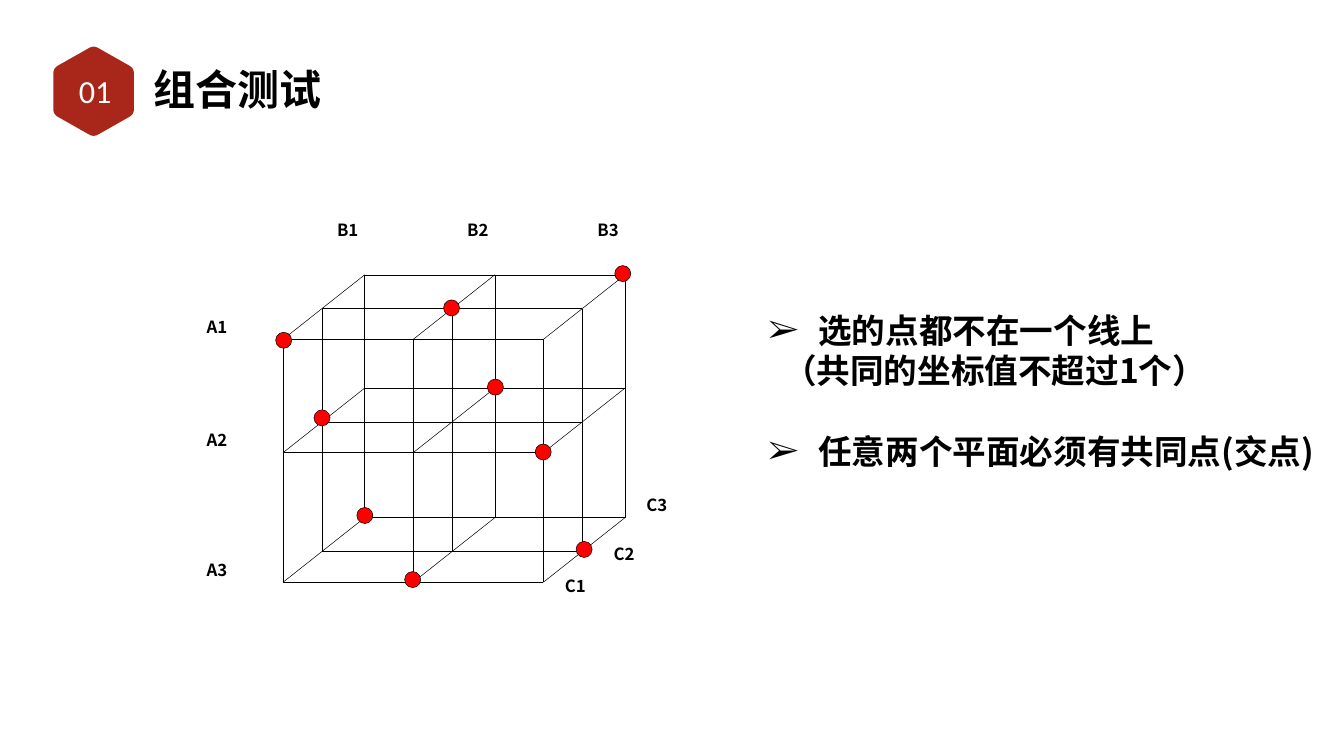
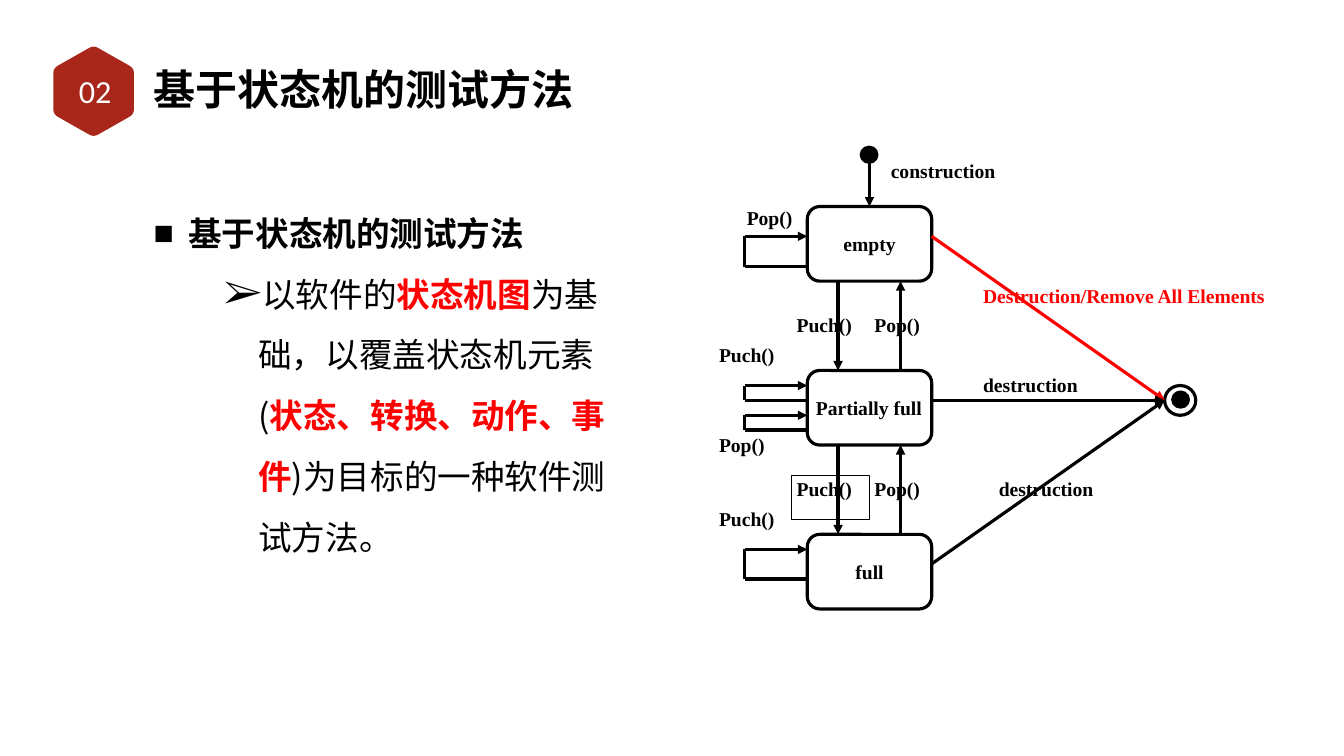
"""Build two slides: combinatorial testing and state-machine testing."""
from itertools import product

from lxml import etree
from pptx import Presentation
from pptx import util as u
from pptx.dml.color import RGBColor
from pptx.enum import shapes, text
from pptx.oxml.ns import qn

BLACK, WHITE = RGBColor(0, 0, 0), RGBColor(255, 255, 255)
RED, BRICK = RGBColor(255, 0, 0), RGBColor(0xA8, 0x27, 0x1A)
CJK, LATIN, SERIF = "Noto Sans CJK SC", "Calibri", "Times New Roman"
CENTER, JUSTIFY = text.PP_ALIGN.CENTER, text.PP_ALIGN.JUSTIFY
MIDDLE = text.MSO_ANCHOR.MIDDLE
OVAL = shapes.MSO_SHAPE.OVAL
ROUNDED = shapes.MSO_SHAPE.FLOWCHART_ALTERNATE_PROCESS

TITLE_FONT = {"size": u.Pt(60), "name": CJK, "bold": True}
NUMBER_FONT = {"size": u.Pt(46), "name": LATIN, "bold": False}
BODY_FONT = {"size": u.Pt(48), "name": CJK, "bold": True}
LABEL_FONT = {"size": u.Pt(24), "name": CJK, "bold": True}
STATE_FONT = {"size": u.Pt(28), "name": SERIF, "bold": True}

TITLES = [("01", "组合测试"), ("02", "基于状态机的测试方法")]
BADGE_CENTER = (4.72, 4.6)
BADGE_CORNERS = [(0, -2.31), (2.03, -1.16), (2.03, 1.16),
                 (0, 2.31), (-2.03, 1.16), (-2.03, -1.16)]
BADGE_ROUNDING = 0.11

GRID_LEFT, GRID_STEP = 14.27, 6.56
GRID_ROWS = [17.1, 22.81, 29.34]
GRID_DEPTHS = [(0, 0), (1.96, -1.55), (4.11, -3.25)]
DOT = 0.81
DOT_CENTERS = [(14.3, 17.15), (22.76, 15.52), (31.39, 13.79),
               (16.23, 21.06), (24.97, 19.51), (27.38, 22.78),
               (18.39, 25.98), (20.8, 29.21), (29.44, 27.69)]
C_LABELS = [("C1", 28.22, 28.88), ("C2", 30.68, 27.25), ("C3", 32.33, 24.82)]

RULE_LINE = u.Pt(57.6)
RULES = [
    {"spans": [("选的点都不在一个线上", {})], "bullet": "➢", "margin": 2.54,
     "indent": -2.54, "format": {"line_spacing": RULE_LINE}},
    {"spans": [("（共同的坐标值不超过1个）", {})], "margin": 0.76,
     "format": {"line_spacing": RULE_LINE}},
    {"spans": [("任意两个平面必须有共同点(交点)", {})], "bullet": "➢",
     "margin": 2.54, "indent": -2.54,
     "format": {"line_spacing": RULE_LINE, "space_before": RULE_LINE}},
]
PLAIN, KEY = {"bold": False}, {"color": RED}
METHOD = [
    {"spans": [("基于状态机的测试方法", {})], "bullet": "■", "margin": 1.75,
     "indent": -1.75, "format": {"line_spacing": u.Pt(114)}},
    {"spans": [("以软件的", PLAIN), ("状态机图", KEY),
               ("为基础，以覆盖状态机元素(", PLAIN),
               ("状态、转换、动作、事件", KEY),
               (")为目标的一种软件测试方法。", PLAIN)],
     "bullet": "➢", "bullet_size": 125, "margin": 5.28, "indent": -1.75,
     "format": {"line_spacing": u.Pt(86.8)}},
]

STATES = [("empty", CENTER), ("Partially full", JUSTIFY), ("full", CENTER)]
STATE_LEFT, STATE_TOP, STATE_STEP = 40.69, 10.41, 8.26
STATE_WIDTH, STATE_HEIGHT = 6.27, 3.76
PUSH_X, POP_X, LOOP_X = 42.24, 45.39, 37.54
START_X, FINAL = 43.82, (58.7, 20.17)
LOOPS = [(11.91, 13.44), (19.43, 20.17), (20.93, 21.67), (27.69, 29.18)]
EXITS = [(11.91, RED), (20.17, BLACK), (28.42, BLACK)]
CIRCLES = [(43.41, 7.42, 0.79, 0.76, BLACK), (58.7, 19.43, 1.57, 1.5, None),
           (59.11, 19.76, 0.79, 0.76, BLACK)]
EVENTS = [
    ("construction", 44.65, 7.9, 6.27, BLACK),
    ("Destruction/Remove All Elements", 49.3, 14.17, 15.11, RED),
    ("destruction", 50.09, 23.93, 6.27, BLACK),
    ("destruction", 49.3, 18.67, 6.27, BLACK),
    ("Pop()", 43.82, 23.93, 3.91, BLACK),
    ("Puch()", 39.9, 15.67, 3.91, BLACK),
    ("Pop()", 43.82, 15.67, 3.91, BLACK),
    ("Pop()", 37.39, 10.24, 4.19, BLACK),
    ("Puch()", 35.99, 25.43, 3.91, BLACK),
    ("Puch()", 35.99, 17.17, 3.91, BLACK),
    ("Pop()", 35.99, 21.67, 3.91, BLACK),
]
BOXED_EVENT = ("Puch()", 39.9, 23.93, 3.91, BLACK)
EVENT_HEIGHT = 2.26


def apply(target, values):
    for name, value in values.items():
        setattr(target, name, value)


def add_bullet(properties, bullet, size):
    parts = [("a:buSzPct", "val", str(size * 1000)),
             ("a:buFont", "typeface", SERIF), ("a:buChar", "char", bullet)]
    for tag, name, value in parts:
        etree.SubElement(properties, qn(tag)).set(name, value)


def write(shape, paragraphs, font, color=BLACK, inset=None, anchor=None):
    frame = shape.text_frame
    frame.word_wrap = True
    if anchor is not None:
        frame.vertical_anchor = anchor
    if inset is not None:
        apply(frame, {f"margin_{side}": u.Cm(inset)
                      for side in ("left", "top", "right", "bottom")})
    for index, item in enumerate(paragraphs):
        para = frame.add_paragraph() if index else frame.paragraphs[0]
        properties = para._p.get_or_add_pPr()
        properties.set("marL", str(u.Cm(item.get("margin", 0))))
        properties.set("indent", str(u.Cm(item.get("indent", 0))))
        properties.set("hangingPunct", "0")
        if "bullet" in item:
            add_bullet(properties, item["bullet"], item.get("bullet_size", 100))
        apply(para, item.get("format", {}))
        for words, changes in item["spans"]:
            span = para.add_run()
            span.text = words
            values = {"color": color, **font, **changes}
            span.font.color.rgb = values.pop("color")
            apply(span.font, values)
            east = etree.SubElement(span._r.get_or_add_rPr(), qn("a:ea"))
            east.set("typeface", font["name"])


def line_of(words, **values):
    return [{"spans": [(words, {})], "format": values}]


def add_text(page, area, paragraphs, font, **options):
    box = page.shapes.add_textbox(*map(u.Cm, area))
    write(box, paragraphs, font, **options)


def paint(shape, fill=None, line=None, width=0.75):
    shape.shadow.inherit = False
    if fill is None:
        shape.fill.background()
    else:
        shape.fill.solid()
        shape.fill.fore_color.rgb = fill
    if line is None:
        shape.line.fill.background()
    else:
        shape.line.color.rgb = line
        shape.line.width = u.Pt(width)


def add_shape(page, kind, area, **style):
    shape = page.shapes.add_shape(kind, *map(u.Cm, area))
    paint(shape, **style)
    return shape


def add_line(page, start, end, color=BLACK, width=0.75, arrow=False):
    line = page.shapes.add_connector(
        shapes.MSO_CONNECTOR.STRAIGHT, *map(u.Cm, (*start, *end)))
    line.line.color.rgb = color
    line.line.width = u.Pt(width)
    if arrow:
        tip = etree.SubElement(line.line._get_or_add_ln(), qn("a:tailEnd"))
        tip.set("type", "triangle")
    etree.SubElement(line._element.spPr, qn("a:effectLst"))


def badge_outline():
    points = []
    for index, corner in enumerate(BADGE_CORNERS):
        before = BADGE_CORNERS[index - 1]
        after = BADGE_CORNERS[(index + 1) % len(BADGE_CORNERS)]
        for step in range(7):
            t = step / 6
            points.append(tuple(
                u.Cm(middle + c + BADGE_ROUNDING * ((1 - t) ** 2 * (b - c) + t ** 2 * (a - c)))
                for middle, b, c, a in zip(BADGE_CENTER, before, corner, after)))
    return points


def add_page(deck, number, title):
    page = deck.slides.add_slide(deck.slide_layouts[6])
    outline = badge_outline()
    builder = page.shapes.build_freeform(*outline[0])
    builder.add_line_segments(outline[1:], close=True)
    paint(builder.convert_to_shape(), fill=BRICK)
    add_text(page, (7.59, 3, 23.32, 2.9), line_of(title), TITLE_FONT,
             inset=0.15, anchor=MIDDLE)
    add_text(page, (2.59, 3.23, 4.42, 2.67), line_of(number, alignment=CENTER),
             NUMBER_FONT, color=WHITE, inset=0.13, anchor=MIDDLE)
    return page


def node(a, b, c):
    shift_x, shift_y = GRID_DEPTHS[c]
    return GRID_LEFT + b * GRID_STEP + shift_x, GRID_ROWS[a] + shift_y


def draw_lattice(page):
    for i, j in product(range(3), repeat=2):
        add_line(page, node(i, 0, j), node(i, 2, j))
        add_line(page, node(0, i, j), node(2, i, j))
        add_line(page, node(i, j, 0), node(i, j, 2))
    for x, y in DOT_CENTERS:
        add_shape(page, OVAL, (x - DOT / 2, y - DOT / 2, DOT, DOT),
                  fill=RED, line=BLACK)
    labels = [(f"A{i + 1}", 10.16, y - 1.28) for i, y in enumerate(GRID_ROWS)]
    labels += [(f"B{i + 1}", 16.74 + i * GRID_STEP, 10.93) for i in range(3)]
    for label, x, y in labels + C_LABELS:
        add_text(page, (x, y, 3.28, 2.46),
                 line_of(label, alignment=JUSTIFY, line_spacing=u.Pt(29)), LABEL_FONT)


def draw_state_machine(page):
    bold = {"line": BLACK, "width": 4.5}
    for *area, fill in CIRCLES:
        add_shape(page, OVAL, area, fill=fill, **bold)
    for index, (name, alignment) in enumerate(STATES):
        top = STATE_TOP + index * STATE_STEP
        state = add_shape(page, ROUNDED,
                          (STATE_LEFT, top, STATE_WIDTH, STATE_HEIGHT), **bold)
        write(state, line_of(name, alignment=alignment), STATE_FONT, anchor=MIDDLE)

    arrows = [((START_X, 8.18), (START_X, STATE_TOP), BLACK)]
    for index in range(len(STATES) - 1):
        upper = STATE_TOP + index * STATE_STEP + STATE_HEIGHT
        lower = STATE_TOP + (index + 1) * STATE_STEP
        arrows += [((PUSH_X, upper), (PUSH_X, lower), BLACK),
                   ((POP_X, lower), (POP_X, upper), BLACK)]
    arrows += [((STATE_LEFT + STATE_WIDTH, y), FINAL, color) for y, color in EXITS]
    for top, bottom in LOOPS:
        add_line(page, (STATE_LEFT, bottom), (LOOP_X, bottom), width=4.5)
        add_line(page, (LOOP_X, top), (LOOP_X, bottom), width=4.5)
        arrows.append(((LOOP_X, top), (STATE_LEFT, top), BLACK))
    for start, end, color in arrows:
        add_line(page, start, end, color, 4.5, arrow=True)

    for words, x, y, width, color in EVENTS:
        add_text(page, (x, y, width, EVENT_HEIGHT),
                 line_of(words, alignment=JUSTIFY), STATE_FONT, color=color)
    words, x, y, width, color = BOXED_EVENT
    boxed = add_shape(page, shapes.MSO_SHAPE.RECTANGLE,
                      (x, y, width, EVENT_HEIGHT), line=BLACK)
    write(boxed, line_of(words, alignment=JUSTIFY), STATE_FONT, color=color,
          anchor=text.MSO_ANCHOR.TOP)


def main():
    deck = Presentation()
    deck.slide_width, deck.slide_height = u.Cm(67.74), u.Cm(38.1)
    lattice, machine = [add_page(deck, *heading) for heading in TITLES]
    draw_lattice(lattice)
    add_text(lattice, (38.46, 15.49, 28.68, 8.46), RULES, BODY_FONT)
    add_text(machine, (7.59, 8.59, 24.43, 25.73), METHOD, BODY_FONT, inset=0.15)
    draw_state_machine(machine)
    deck.save("out.pptx")


if __name__ == "__main__":
    main()
